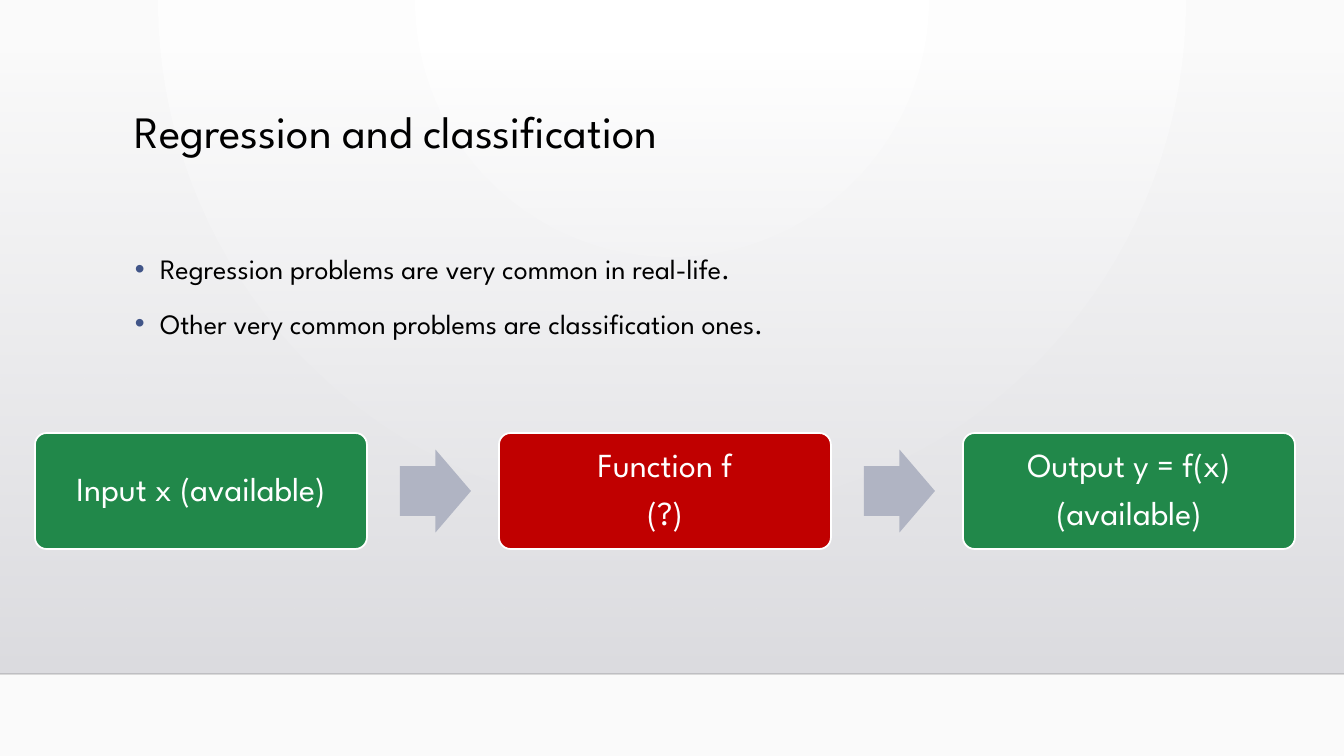
from lxml import etree
from pptx import Presentation
from pptx.dml.color import RGBColor
from pptx.enum.shapes import MSO_CONNECTOR, MSO_SHAPE
from pptx.enum.text import MSO_ANCHOR, PP_ALIGN
from pptx.oxml.ns import qn
from pptx.util import Emu, Pt

RECTANGLE = MSO_SHAPE.RECTANGLE
ROUNDED = MSO_SHAPE.ROUNDED_RECTANGLE
ARROW = MSO_SHAPE.RIGHT_ARROW
STRAIGHT = MSO_CONNECTOR.STRAIGHT
TOP, MIDDLE = MSO_ANCHOR.TOP, MSO_ANCHOR.MIDDLE
LEFT, CENTER = PP_ALIGN.LEFT, PP_ALIGN.CENTER

EMU_PER_PX = 914400 / 100.8
FONT = "League Spartan"
COLORS = {
    "glow": "FFFFFF",
    "paper": "FAFAFA",
    "shade_top": "DCDCE0",
    "shade_bottom": "DEDEE2",
    "rule": "000001",
    "text": "000000",
    "bullet": "415588",
    "known": "21884A",
    "unknown": "C00000",
    "arrow": "B0B4C3",
    "light": "FFFFFF",
}


def px(length):
    return Emu(round(length * EMU_PER_PX))


def color(name):
    return RGBColor.from_string(COLORS[name])


def add_child(parent, tag, **attributes):
    child = etree.SubElement(parent, qn(tag))
    for key, value in attributes.items():
        child.set(key, str(value))
    return child


def set_gradient(fill, start, end):
    fill.gradient()
    for stop, name in zip(fill.gradient_stops, (start, end)):
        stop.color.rgb = color(name)
    fill.gradient_stops[0].position = 0
    fill.gradient_stops[1].position = 1


def add_alpha(properties, percent):
    value = next(properties.iter(qn("a:srgbClr")))
    add_child(value, "a:alpha", val=percent * 1000)


def add_plain_shape(page, kind, box):
    shape = page.shapes.add_shape(kind, *map(px, box))
    shape.shadow.inherit = False
    shape.line.fill.background()
    return shape


def style_paragraph(para, size, color_name, spacing, align=LEFT):
    para.alignment = align
    para.line_spacing = spacing
    para.font.name = FONT
    para.font.size = Pt(size)
    para.font.color.rgb = color(color_name)


def add_text_box(page, box):
    frame = page.shapes.add_textbox(*map(px, box)).text_frame
    frame.word_wrap = True
    frame.vertical_anchor = TOP
    return frame


def add_backdrop(page, box):
    left, top, width, height = box
    fill = page.background.fill
    set_gradient(fill, "glow", "paper")
    gradient = next(page.background._cSld.iter(qn("a:gradFill")))
    for linear in gradient.findall(qn("a:lin")):
        gradient.remove(linear)
    radial = add_child(gradient, "a:path", path="circle")
    add_child(radial, "a:fillToRect", l=43000, t=0, r=43000, b=100000)

    shade = add_plain_shape(page, RECTANGLE, box)
    set_gradient(shade.fill, "shade_top", "shade_bottom")
    shade.fill.gradient_angle = 270
    add_alpha(shade._element.spPr, 0)

    bottom = px(top + height)
    rule = page.shapes.add_connector(STRAIGHT, px(left), bottom, px(left + width), bottom)
    rule.line.width = Pt(1)
    rule.line.color.rgb = color("rule")
    add_alpha(rule._element.spPr, 20)
    add_child(rule._element.spPr, "a:effectLst")


def add_title(page, box, text):
    para = add_text_box(page, box).paragraphs[0]
    para.text = text
    style_paragraph(para, 32, "text", 0.9)


def add_bullets(page, box, items):
    frame = add_text_box(page, box)
    frame.text = "\n".join(items)
    for index, para in enumerate(frame.paragraphs):
        properties = para._p.get_or_add_pPr()
        properties.set("marL", "228600")
        properties.set("indent", "-228600")
        bullet_color = add_child(properties, "a:buClr")
        add_child(bullet_color, "a:srgbClr", val=COLORS["bullet"])
        add_child(properties, "a:buFont", typeface="Arial")
        add_child(properties, "a:buChar", char="•")
        style_paragraph(para, 20, "text", 1.2)
        if index:
            para.space_before = Pt(10)


def add_card(page, box, lines, fill_name):
    card = add_plain_shape(page, ROUNDED, box)
    card.adjustments[0] = 0.1
    card.fill.solid()
    card.fill.fore_color.rgb = color(fill_name)
    card.line.color.rgb = color("light")
    card.line.width = Pt(1.25)
    frame = card.text_frame
    frame.word_wrap = True
    frame.vertical_anchor = MIDDLE
    frame.margin_left = frame.margin_right = px(10)
    frame.margin_top = frame.margin_bottom = px(10)
    frame.text = "\n".join(lines)
    for para in frame.paragraphs:
        style_paragraph(para, 24, "light", 0.9, CENTER)
        para.space_after = Pt(8.4)


def add_process(page, box, steps):
    left, top, width, height = box
    card_width, arrow_width, arrow_height = 332, 71, 83
    pitch = (width - card_width) / (len(steps) - 1)
    for index, (lines, fill_name) in enumerate(steps):
        x = left + index * pitch
        add_card(page, (x, top, card_width, height), lines, fill_name)
        if index < len(steps) - 1:
            arrow_top = top + (height - arrow_height) / 2
            arrow_box = (x + card_width + 33, arrow_top, arrow_width, arrow_height)
            arrow = add_plain_shape(page, ARROW, arrow_box)
            arrow.adjustments[0] = 0.6
            arrow.adjustments[1] = 0.5
            arrow.fill.solid()
            arrow.fill.fore_color.rgb = color("arrow")


def main():
    deck = Presentation()
    deck.slide_width, deck.slide_height = px(1344), px(756)
    page = deck.slides.add_slide(deck.slide_layouts[6])
    add_backdrop(page, (0, 51, 1344, 623))
    add_title(page, (125, 105, 1058, 116), "Regression and classification")
    add_bullets(page, (125, 240, 1058, 363), [
        "Regression problems are very common in real-life.",
        "Other very common problems are classification ones.",
    ])
    add_process(page, (35, 433, 1260, 116), [
        (["Input x (available)"], "known"),
        (["Function f", "(?)"], "unknown"),
        (["Output y = f(x)", "(available)"], "known"),
    ])
    deck.save("out.pptx")


if __name__ == "__main__":
    main()
